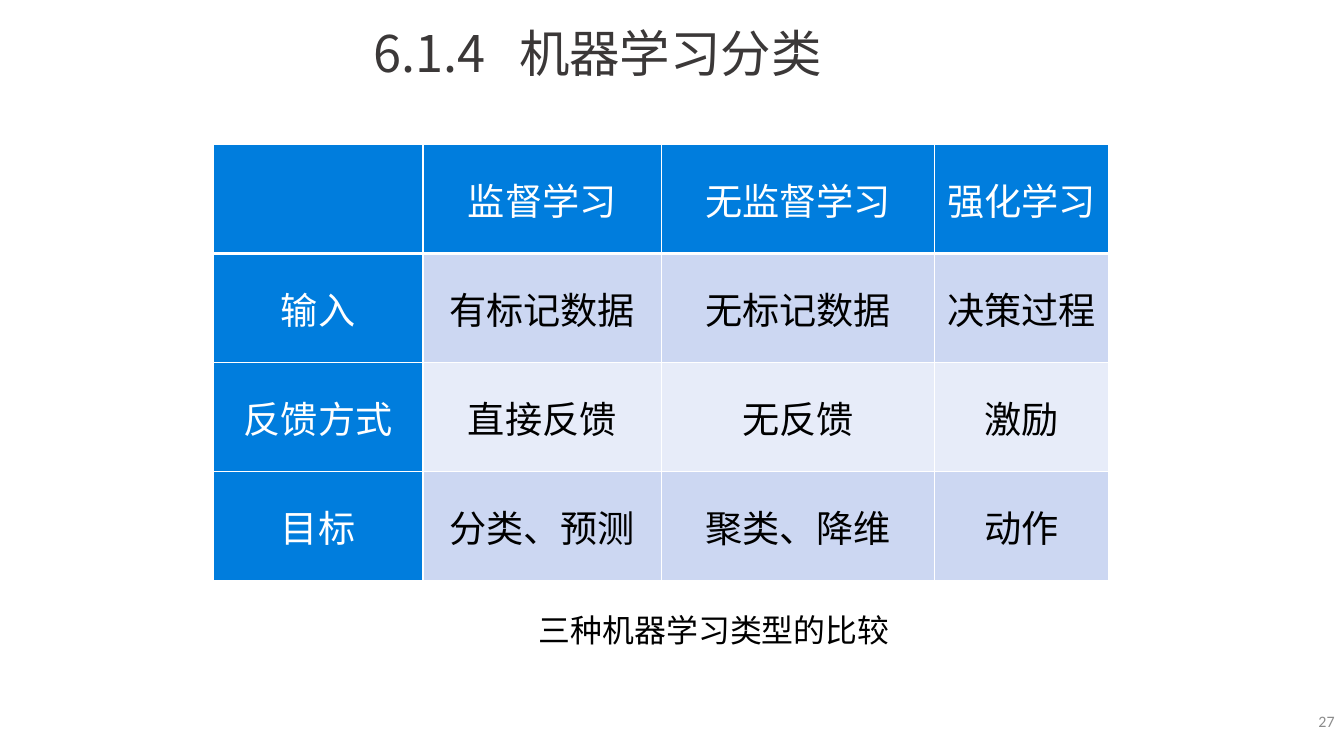
from lxml.etree import SubElement
from pptx import Presentation
from pptx.dml.color import RGBColor
from pptx.enum.text import MSO_ANCHOR, PP_ALIGN
from pptx.oxml.ns import qn
from pptx.util import Cm, Pt

COLORS = {
    "title": "3B3838",
    "header": "007DDD",
    "band_dark": "CCD7F2",
    "band_light": "E7ECF9",
    "white": "FFFFFF",
    "black": "000000",
    "page_number": "8C8C8C",
}
CJK_FONT = "Noto Sans CJK SC"
COLUMN_WIDTHS = [5.58, 6.33, 7.27, 4.62]
ROW_HEIGHT = 2.9
COMPARISON = [
    ["", "监督学习", "无监督学习", "强化学习"],
    ["输入", "有标记数据", "无标记数据", "决策过程"],
    ["反馈方式", "直接反馈", "无反馈", "激励"],
    ["目标", "分类、预测", "聚类、降维", "动作"],
]


def color(name):
    return RGBColor.from_string(COLORS[name])


def set_attributes(target, values):
    for name, value in values.items():
        setattr(target, name, value)


def write_text(text_frame, text, size, color_name, font=CJK_FONT, **paragraph_format):
    paragraph = text_frame.paragraphs[0]
    set_attributes(paragraph, paragraph_format)
    run = paragraph.add_run()
    run.text = text
    set_attributes(run.font, {"name": font, "size": Pt(size), "bold": False})
    run.font.color.rgb = color(color_name)
    SubElement(run.font._element, qn("a:ea"), typeface=font)
    return paragraph


def place(shape, left, top, width, height):
    set_attributes(shape, {
        "left": Cm(left), "top": Cm(top), "width": Cm(width), "height": Cm(height),
    })


def add_title(slide, number, heading):
    title = slide.shapes.title
    place(title, 9.65, 0.64, 12.5, 1.9)
    set_attributes(title.text_frame, {
        "word_wrap": True, "vertical_anchor": MSO_ANCHOR.TOP,
        "margin_left": Cm(0.28), "margin_right": Cm(0.28),
    })
    paragraph = write_text(title.text_frame, f"{number}\t{heading}", 38, "title",
                           alignment=PP_ALIGN.LEFT, line_spacing=0.9)
    tab_list = SubElement(paragraph._p.get_or_add_pPr(), qn("a:tabLst"))
    SubElement(tab_list, qn("a:tab"), pos=str(Cm(3.86)), algn="l")


def add_label(slide, box, text, size, color_name, font, alignment, anchor):
    label = slide.shapes.add_textbox(*map(Cm, box))
    set_attributes(label.text_frame, {"word_wrap": True, "vertical_anchor": anchor})
    write_text(label.text_frame, text, size, color_name, font, alignment=alignment)


def add_borders(cell, widths):
    properties = cell._tc.get_or_add_tcPr()
    for position, (side, width) in enumerate(widths.items()):
        line = SubElement(properties, qn(f"a:ln{side}"), w=str(Pt(width)))
        fill = SubElement(line, qn("a:solidFill"))
        SubElement(fill, qn("a:srgbClr"), val=COLORS["white"])
        properties.insert(position, line)


def fill_name(row, column):
    if row == 0 or column == 0:
        return "header"
    return "band_dark" if row % 2 else "band_light"


def add_comparison_table(slide):
    rows, columns = len(COMPARISON), len(COLUMN_WIDTHS)
    table = slide.shapes.add_table(
        rows, columns, Cm(5.66), Cm(3.84),
        Cm(sum(COLUMN_WIDTHS)), Cm(ROW_HEIGHT * rows)).table
    set_attributes(table, {"first_row": False, "horz_banding": False})
    for column, width in zip(table.columns, COLUMN_WIDTHS):
        column.width = Cm(width)
    for row, texts in enumerate(COMPARISON):
        table.rows[row].height = Cm(ROW_HEIGHT)
        for column, text in enumerate(texts):
            cell = table.cell(row, column)
            set_attributes(cell, {
                "margin_left": Cm(0.18), "margin_right": Cm(0.18),
                "margin_top": 0, "margin_bottom": 0,
                "vertical_anchor": MSO_ANCHOR.MIDDLE,
            })
            background = fill_name(row, column)
            cell.fill.solid()
            cell.fill.fore_color.rgb = color(background)
            add_borders(cell, {"L": 1, "R": 1, "T": 3 if row == 1 else 1,
                               "B": 3 if row == 0 else 1})
            if text:
                text_color = "white" if background == "header" else "black"
                write_text(cell.text_frame, text, 28, text_color,
                           alignment=PP_ALIGN.CENTER)


def main():
    presentation = Presentation()
    set_attributes(presentation, {"slide_width": Cm(35.71), "slide_height": Cm(20.09)})
    slide = presentation.slides.add_slide(presentation.slide_layouts[5])
    add_title(slide, "6.1.4", "机器学习分类")
    add_comparison_table(slide)
    add_label(slide, (14.07, 16.1, 9.9, 1.5), "三种机器学习类型的比较", 24, "black",
              CJK_FONT, PP_ALIGN.LEFT, MSO_ANCHOR.TOP)
    add_label(slide, (27.69, 18.62, 8.02, 1.07), "27", 12, "page_number",
              "Calibri", PP_ALIGN.RIGHT, MSO_ANCHOR.MIDDLE)
    presentation.save("out.pptx")


if __name__ == "__main__":
    main()
